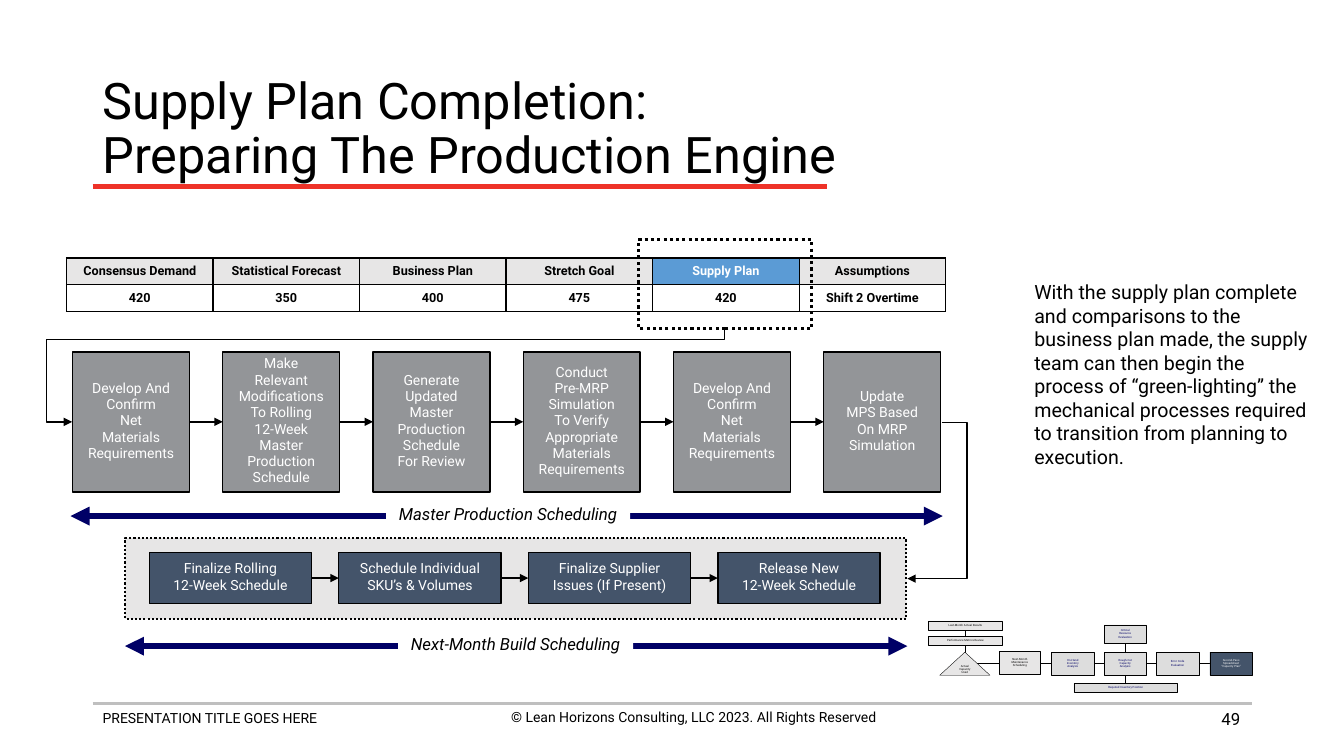
"""Build the supply plan completion slide."""
import pptx
import pptx.util
import pptx.oxml
import pptx.oxml.ns
import pptx.dml.color
import pptx.enum.dml
import pptx.enum.shapes
import pptx.enum.text

Inches, Pt, qn = pptx.util.Inches, pptx.util.Pt, pptx.oxml.ns.qn
SHAPE = pptx.enum.shapes.MSO_SHAPE
CONNECTOR = pptx.enum.shapes.MSO_CONNECTOR
ALIGN = pptx.enum.text.PP_ALIGN
ANCHOR = pptx.enum.text.MSO_ANCHOR

COLORS = {
    "black": "000000", "white": "FFFFFF", "red": "EE3228", "rule": "BFBFBF",
    "pale": "E7E6E6", "silver": "DDDDDD", "gray": "939598", "slate": "44546A",
    "blue": "5B9BD5", "navy": "000066",
}
FONT = "Roboto"

TEXTS = [
    ("PRESENTATION TITLE GOES HERE", (0.92, 6.99, 4.56, 0.44), 10, ALIGN.LEFT, ANCHOR.TOP, 1),
    ("© Lean Horizons Consulting, LLC 2023. All Rights Reserved",
     (4.6, 6.98, 4.56, 0.44), 10, ALIGN.CENTER, ANCHOR.TOP, 1),
    ("49", (9.4, 6.93, 3, 0.4), 12, ALIGN.RIGHT, ANCHOR.MIDDLE, 1),
    ("Supply Plan Completion:\vPreparing The Production Engine",
     (0.92, 0.74, 11.5, 1.1), 36, ALIGN.LEFT, ANCHOR.MIDDLE, 0.9),
    ("With the supply plan complete and comparisons to the business plan made, the supply "
     "team can then begin the process of “green-lighting” the mechanical processes required "
     "to transition from planning to execution.",
     (10.16, 2.73, 3.01, 1.99), 14, ALIGN.LEFT, ANCHOR.TOP, 1),
]
RULES = [((0.92, 6.98), (12.42, 6.98), "rule", 2), ((0.92, 1.85), (8.2, 1.85), "red", 3)]
PLAN = [
    ["Consensus Demand", "Statistical Forecast", "Business Plan", "Stretch Goal",
     "Supply Plan", "Assumptions"],
    ["420", "350", "400", "475", "420", "Shift 2 Overtime"],
]
MASTER_STEPS = [
    "Develop And\nConfirm\nNet\nMaterials\nRequirements",
    "Make\nRelevant\nModifications\nTo Rolling\n12-Week\nMaster\nProduction\nSchedule",
    "Generate\nUpdated\nMaster\nProduction\nSchedule\nFor Review",
    "Conduct\nPre-MRP\nSimulation\nTo Verify\nAppropriate\nMaterials\nRequirements",
    "Develop And\nConfirm\nNet\nMaterials\nRequirements",
    "Update\nMPS Based\nOn MRP\nSimulation",
]
BUILD_STEPS = [
    "Finalize Rolling\n12-Week Schedule", "Schedule Individual\nSKU’s & Volumes",
    "Finalize Supplier\nIssues (If Present)", "Release New\n12-Week Schedule",
]
SPANS = [
    ("Master Production Scheduling", 0.7, 9.35, 5.12, 3.83, 2.42),
    ("Next-Month Build Scheduling", 1.24, 9, 6.41, 3.95, 2.33),
]
MAP_LINES = [((11.16, 6.28), (11.16, 6.82)), ((9.66, 6.58), (12.15, 6.58)),
             ((9.57, 6.19), (9.57, 6.49))]
MAP_BOXES = [
    ("Next-Month\nMaintenance\nScheduling", (9.91, 6.46, 0.41, 0.23), "pale", "black"),
    ("On-Hand\nInventory\nAnalysis", (10.43, 6.47, 0.42, 0.23), "silver", "navy"),
    ("Rough-Cut\nCapacity\nAnalysis", (10.95, 6.47, 0.42, 0.23), "silver", "navy"),
    ("Error Code\nEvaluation", (11.47, 6.47, 0.42, 0.23), "silver", "navy"),
    ("Second-Pass\nSpreadsheet\n“Capacity Plan”", (12, 6.47, 0.42, 0.23), "slate", "white"),
    ("Critical\nResource\nEvaluation", (10.95, 6.2, 0.42, 0.18), "silver", "navy"),
    ("Last-Month Actual Results", (9.21, 6.16, 0.73, 0.09), "pale", "black"),
    ("Performance Metrics Review", (9.21, 6.31, 0.73, 0.09), "pale", "black"),
    ("Required Inventory Position", (10.65, 6.78, 1.03, 0.09), "silver", "navy"),
]
MAP_TRIANGLE = ("Actual\nCapacity\nUsed", (9.32, 6.47, 0.5, 0.23), "pale", "black")


def rgb(name):
    return pptx.dml.color.RGBColor.from_string(COLORS[name])


def style(paragraph, size, color, align, spacing=1.0, bold=False, italic=False):
    paragraph.alignment = align
    paragraph.line_spacing = spacing
    for run in paragraph.runs:
        font = run.font
        font.name, font.size, font.bold, font.italic = FONT, Pt(size), bold, italic
        font.color.rgb = rgb(color)


def add_text(slide, text, place, size, align, anchor, spacing):
    frame = slide.shapes.add_textbox(*map(Inches, place)).text_frame
    frame.word_wrap, frame.vertical_anchor = True, anchor
    frame.text = text
    style(frame.paragraphs[0], size, "black", align, spacing)


def add_box(slide, text, place, fill, color="white", size=10, weight=1.0, dotted=False,
            italic=False, kind=SHAPE.RECTANGLE):
    box = slide.shapes.add_shape(kind, *map(Inches, place))
    box.shadow.inherit = False
    if fill:
        box.fill.solid()
        box.fill.fore_color.rgb = rgb(fill)
    else:
        box.fill.background()
    if weight:
        box.line.color.rgb, box.line.width = rgb("black"), Pt(weight)
        if dotted:
            box.line.dash_style = pptx.enum.dml.MSO_LINE.ROUND_DOT
    else:
        box.line.fill.background()
    if text:
        frame = box.text_frame
        frame.margin_left = frame.margin_right = frame.margin_top = frame.margin_bottom = 0
        frame.word_wrap, frame.vertical_anchor = False, ANCHOR.MIDDLE
        frame.text = text
        for index, paragraph in enumerate(frame.paragraphs):
            style(paragraph, size, color, ALIGN.CENTER, 0.8, italic=italic)
            if index:
                paragraph.space_before = Pt(size * 0.2)
    return box


def add_line(slide, start, end, color="black", weight=1.0, ends=(), kind=CONNECTOR.STRAIGHT):
    line = slide.shapes.add_connector(kind, *map(Inches, start + end))
    line.line.color.rgb, line.line.width = rgb(color), Pt(weight)
    for tag in ends:
        pptx.oxml.ns.qn(tag)
        line.line._get_or_add_ln().append(
            pptx.oxml.parse_xml(f'<{tag} {pptx.oxml.ns.nsdecls("a")} type="triangle"/>'))
    line._element.spPr.append(
        pptx.oxml.parse_xml(f'<a:effectLst {pptx.oxml.ns.nsdecls("a")}/>'))
    return line


def add_elbow(slide, start, end, preset, bends, turn=0):
    elbow = add_line(slide, start, end, ends=["a:tailEnd"], kind=CONNECTOR.ELBOW)
    properties = elbow._element.spPr
    properties.find(qn("a:xfrm")).set("rot", str(turn * 60000))
    geometry = properties.find(qn("a:prstGeom"))
    geometry.set("prst", preset)
    for number, bend in enumerate(bends, 1):
        guide = geometry.find(qn("a:avLst")).makeelement(qn("a:gd"), {
            "name": f"adj{number}", "fmla": f"val {round(bend * 100000)}"})
        geometry.find(qn("a:avLst")).append(guide)


def add_steps(slide, steps, left, pitch, top, width, height, fill):
    boxes = [add_box(slide, step, (left + pitch * index, top, width, height), fill)
             for index, step in enumerate(steps)]
    for before, after in zip(boxes, boxes[1:]):
        arrow = add_line(slide, (0, 0), (1, 1), ends=["a:tailEnd"])
        arrow.begin_connect(before, 3)
        arrow.end_connect(after, 1)


def add_plan(slide):
    table = slide.shapes.add_table(
        2, 6, *map(Inches, (0.66, 2.56, 8.72, 0.53))).table
    table.horz_banding = table.first_row = False
    for row, values in enumerate(PLAN):
        for column, value in enumerate(values):
            cell = table.cell(row, column)
            chosen = row == 0 and value == "Supply Plan"
            cell.text_frame.text = value
            cell.vertical_anchor = ANCHOR.MIDDLE
            style(cell.text_frame.paragraphs[0], 9, "white" if chosen else "black",
                  ALIGN.CENTER, bold=True)
            properties = cell._tc.get_or_add_tcPr()
            for side in ("lnL", "lnR", "lnT", "lnB"):
                properties.append(pptx.oxml.parse_xml(
                    f'<a:{side} {pptx.oxml.ns.nsdecls("a")} w="12700"><a:solidFill>'
                    f'<a:srgbClr val="{COLORS["black"]}"/></a:solidFill></a:{side}>'))
            if row == 0:
                cell.fill.solid()
                cell.fill.fore_color.rgb = rgb("blue" if chosen else "pale")
            else:
                cell.fill.background()


def main():
    deck = pptx.Presentation()
    deck.slide_width, deck.slide_height = Inches(13.33), Inches(7.5)
    slide = deck.slides.add_slide(deck.slide_layouts[6])
    for start, end, color, weight in RULES:
        add_line(slide, start, end, color, weight)
    for entry in TEXTS:
        add_text(slide, *entry)
    for start, end in MAP_LINES:
        add_line(slide, start, end, weight=0.25)
    for entry in MAP_BOXES:
        add_box(slide, *entry, size=2, weight=0.25)
    add_box(slide, *MAP_TRIANGLE, size=2, weight=0.25, kind=SHAPE.ISOSCELES_TRIANGLE)
    add_box(slide, "", (1.24, 5.34, 7.75, 0.8), "pale", weight=1.5, dotted=True)
    add_plan(slide)
    add_box(slide, "", (6.33, 2.38, 1.72, 0.88), None, weight=2.25, dotted=True)
    add_steps(slide, MASTER_STEPS, 0.72, 1.49, 3.49, 1.16, 1.39, "gray")
    add_steps(slide, BUILD_STEPS, 1.48, 1.88, 5.48, 1.61, 0.51, "slate")
    add_elbow(slide, (3.49, 0.49), (4.41, 6.96), "bentConnector4", [0.115, 1.039], 90)
    add_elbow(slide, (9.34, 4.19), (9, 5.74), "bentConnector3", [-0.742])
    for label, left, right, middle, label_left, label_width in SPANS:
        add_line(slide, (left, middle), (right, middle), "navy", 4.5,
                 ["a:headEnd", "a:tailEnd"])
        add_box(slide, label, (label_left, middle - 0.13, label_width, 0.26), "white",
                "black", 12, 0, italic=True)
    deck.save("out.pptx")


if __name__ == "__main__":
    main()
